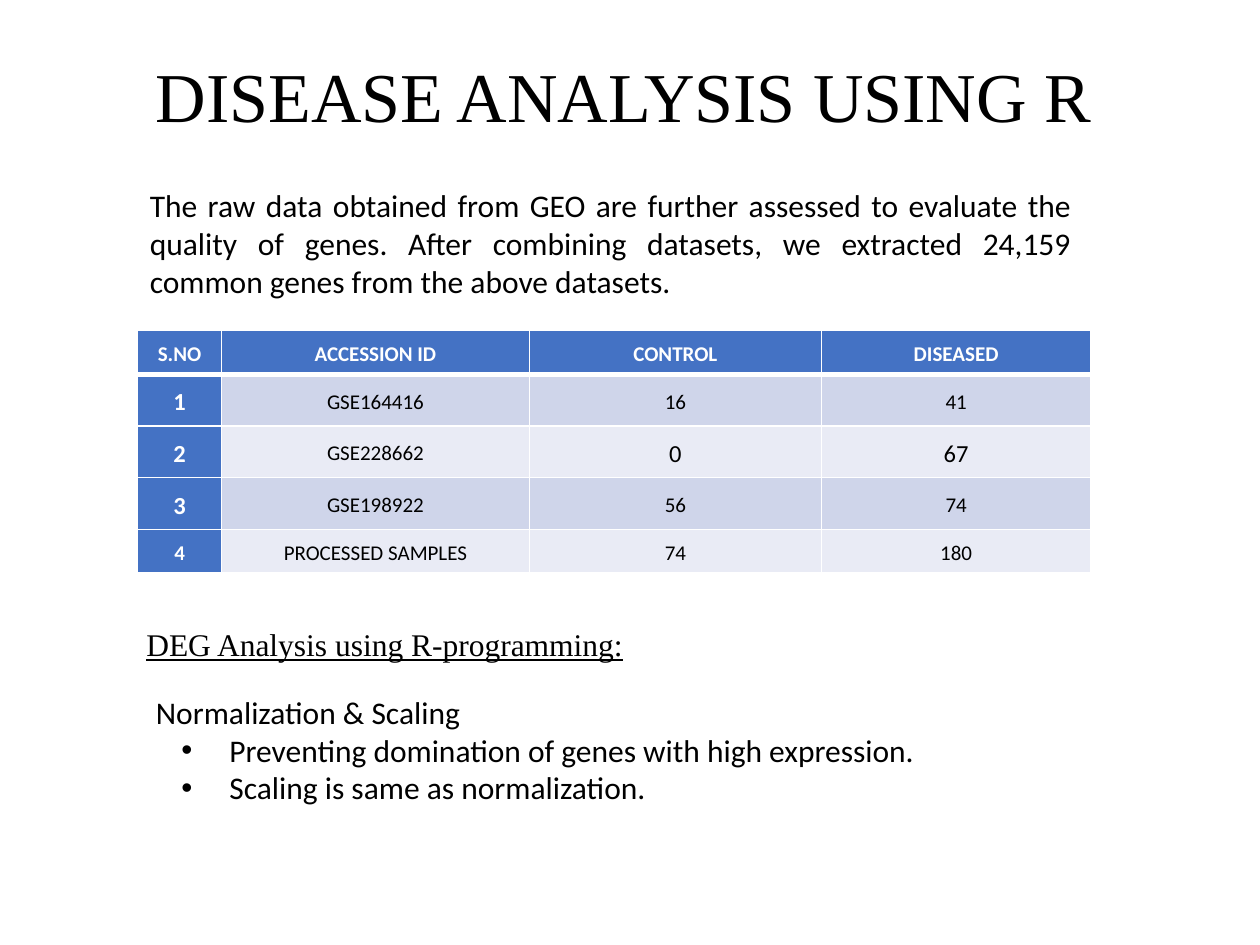
from dataclasses import dataclass

from lxml.etree import SubElement
from pptx import Presentation
from pptx.dml.color import RGBColor as RGB
from pptx.enum.text import MSO_ANCHOR as Anchor, MSO_AUTO_SIZE as AutoSize, PP_ALIGN as Align
from pptx.oxml import parse_xml
from pptx.oxml.ns import nsdecls, qn
from pptx.util import Cm, Pt


@dataclass(frozen=True)
class Theme:
    text: RGB = RGB(0, 0, 0)
    white: RGB = RGB(255, 255, 255)
    accent: RGB = RGB(0x44, 0x72, 0xC4)
    bands: tuple = (RGB(0xCF, 0xD5, 0xEA), RGB(0xE9, 0xEB, 0xF5))
    sans: str = "Calibri"
    serif: str = "Times New Roman"
    title: int = 40
    body: int = 18
    large: int = 14
    small: int = 12


@dataclass(frozen=True)
class Box:
    left: float
    top: float
    width: float
    height: float

    def lengths(self) -> tuple:
        return Cm(self.left), Cm(self.top), Cm(self.width), Cm(self.height)


@dataclass(frozen=True)
class Sample:
    cells: tuple
    height: float
    large: tuple = ()  # columns set in the larger size


@dataclass(frozen=True)
class Item:
    text: str
    level: int
    margin: float
    indent: float = 0
    bullet: str = ""


THEME = Theme()
COLUMNS = (1.7, 6.2, 5.89, 5.43)
SAMPLES = (
    Sample(("S.NO", "ACCESSION ID", "CONTROL", "DISEASED"), 0.9),
    Sample(("1", "GSE164416", "16", "41"), 1.04, (0,)),
    Sample(("2", "GSE228662", "0", "67"), 1.04, (0, 2, 3)),
    Sample(("3", "GSE198922", "56", "74"), 1.04, (0,)),
    Sample(("4", "PROCESSED SAMPLES", "74", "180"), 0.88),
)
ITEMS = (
    Item("Normalization & Scaling", 0, 0.76),
    Item("Preventing domination of genes with high expression.", 1, 2.24, -0.97, "•"),
    Item("Scaling is same as normalization.", 1, 2.24, -0.97, "•"),
)


def style(p, size: int, face: str, color: RGB = THEME.text, bold: bool = False,
          underline: bool = False) -> None:
    f = p.font
    f.size, f.name, f.bold, f.underline = Pt(size), face, bold, underline
    f.color.rgb = color


def place(sp, box: Box) -> None:
    sp.left, sp.top, sp.width, sp.height = box.lengths()


def add_text(slide, box: Box, text: str, align: Align, face: str,
             wrap: bool = True, underline: bool = False) -> None:
    tf = slide.shapes.add_textbox(*box.lengths()).text_frame
    tf.word_wrap, tf.auto_size = wrap, AutoSize.SHAPE_TO_FIT_TEXT
    p = tf.paragraphs[0]
    p.text, p.alignment = text, align
    style(p, THEME.body, face, underline=underline)


def set_borders(cell, top: int, bottom: int) -> None:
    widths = {"lnL": 1, "lnR": 1, "lnT": top, "lnB": bottom}
    tc_pr = cell._tc.get_or_add_tcPr()
    for i, (tag, width) in enumerate(widths.items()):
        tc_pr.insert(i, parse_xml(
            f'<a:{tag} {nsdecls("a")} w="{Pt(width)}"><a:solidFill>'
            f'<a:srgbClr val="{THEME.white}"/></a:solidFill></a:{tag}>'))


def add_samples(slide, box: Box) -> None:
    table = slide.shapes.add_table(len(SAMPLES), len(COLUMNS), *box.lengths()).table
    for column, width in zip(table.columns, COLUMNS):
        column.width = Cm(width)
    for r, sample in enumerate(SAMPLES):
        table.rows[r].height = Cm(sample.height)
        for c, text in enumerate(sample.cells):
            cell = table.cell(r, c)
            heading = r == 0 or c == 0
            cell.fill.solid()
            cell.fill.fore_color.rgb = THEME.accent if heading else THEME.bands[(r - 1) % 2]
            cell.vertical_anchor = Anchor.MIDDLE
            cell.margin_left = cell.margin_right = Cm(0.18)
            cell.margin_top = cell.margin_bottom = 0
            set_borders(cell, top=3 if r == 1 else 1, bottom=3 if r == 0 else 1)
            p = cell.text_frame.paragraphs[0]
            p.text, p.alignment, p.line_spacing = text, Align.CENTER, 1.15
            style(p, THEME.large if c in sample.large else THEME.small, THEME.sans,
                  THEME.white if heading else THEME.text, bold=heading)


def fill_list(sp, box: Box) -> None:
    place(sp, box)
    tf = sp.text_frame
    tf.word_wrap, tf.auto_size = True, AutoSize.NONE
    tf.vertical_anchor = Anchor.TOP
    for i, item in enumerate(ITEMS):
        p = tf.add_paragraph() if i else tf.paragraphs[0]
        p.text, p.level, p.alignment = item.text, item.level, Align.LEFT
        p.space_before, p.line_spacing = Pt(0), 1.0
        p_pr = p._p.get_or_add_pPr()
        p_pr.set("marL", str(Cm(item.margin)))
        p_pr.set("indent", str(Cm(item.indent)))
        if item.bullet:
            SubElement(p_pr, qn("a:buFont")).set("typeface", "Arial")
            SubElement(p_pr, qn("a:buChar")).set("char", item.bullet)
        else:
            SubElement(p_pr, qn("a:buNone"))
        style(p, THEME.body, THEME.sans)


def main() -> None:
    prs = Presentation()
    prs.slide_width, prs.slide_height = Cm(25.4), Cm(19.05)
    slide = prs.slides.add_slide(prs.slide_layouts[1])
    title, body = slide.placeholders

    # Title
    place(title, Box(2.08, 0.53, 20.98, 2.97))
    tf = title.text_frame
    tf.vertical_anchor, tf.auto_size = Anchor.MIDDLE, AutoSize.NONE
    p = tf.paragraphs[0]
    p.text, p.alignment, p.line_spacing = "DISEASE ANALYSIS USING R", Align.CENTER, 0.9
    style(p, THEME.title, THEME.serif)

    # Data sets
    add_samples(slide, Box(2.77, 6.65, sum(COLUMNS), sum(s.height for s in SAMPLES)))
    add_text(slide, Box(2.77, 3.63, 19.08, 2.57),
             "The raw data obtained from GEO are further assessed to evaluate the quality of "
             "genes. After combining datasets, we extracted 24,159 common genes from the "
             "above datasets.", Align.JUSTIFY, THEME.sans)

    # Analysis steps
    add_text(slide, Box(2.7, 12.47, 10.39, 1.02), "DEG Analysis using R-programming:",
             Align.LEFT, THEME.serif, wrap=False, underline=True)
    fill_list(body, Box(2.13, 13.84, 20.98, 2.57))

    prs.save("out.pptx")


if __name__ == "__main__":
    main()
